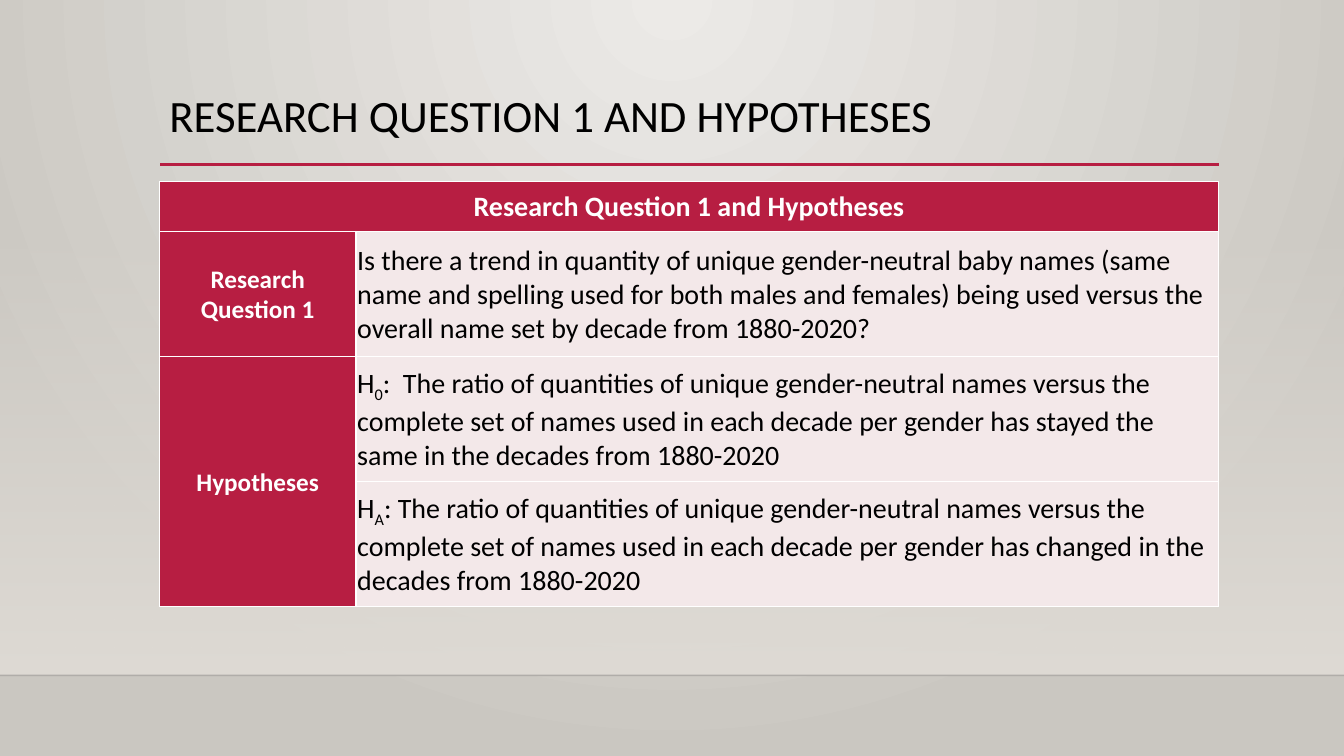
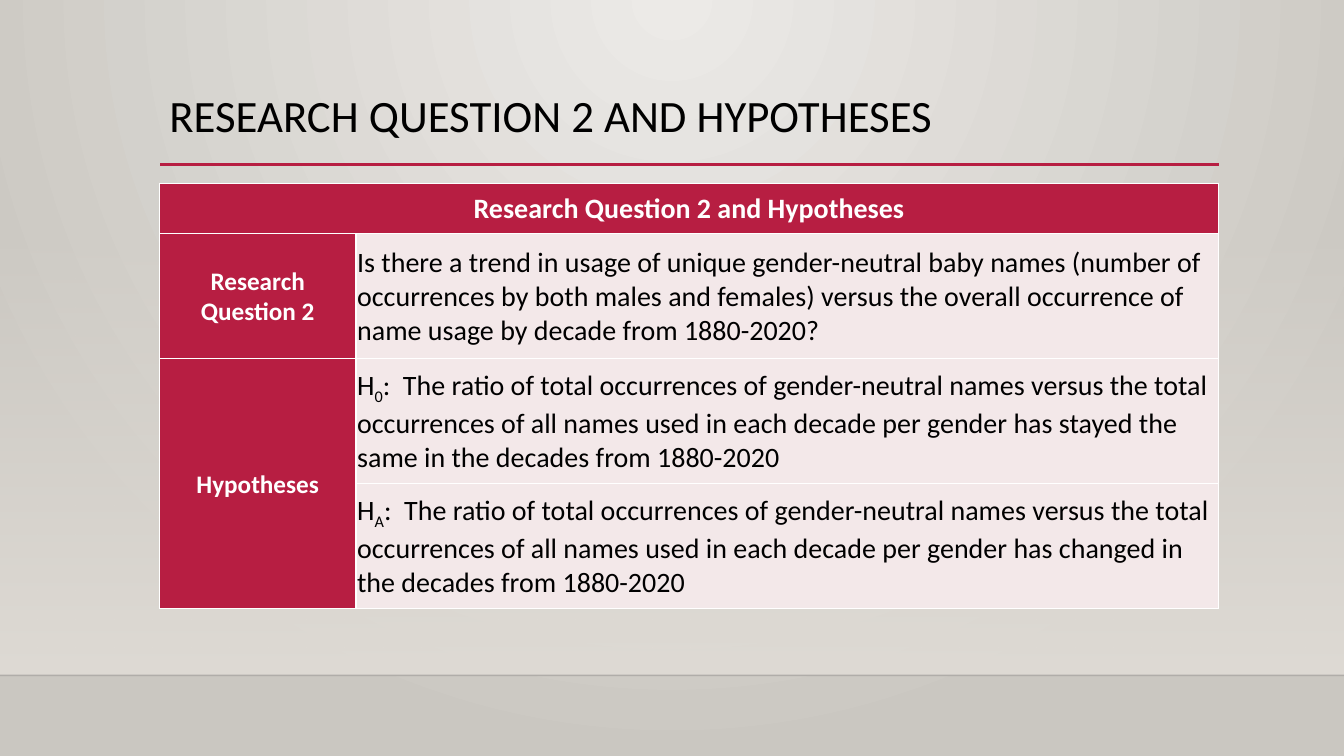
from lxml import etree
from pptx import Presentation
from pptx.dml.color import RGBColor
from pptx.enum.shapes import MSO_CONNECTOR, MSO_SHAPE
from pptx.enum.text import MSO_ANCHOR, PP_ALIGN
from pptx.oxml.ns import qn
from pptx.util import Cm, Pt

STRAIGHT = MSO_CONNECTOR.STRAIGHT
RECTANGLE = MSO_SHAPE.RECTANGLE
MIDDLE = MSO_ANCHOR.MIDDLE
CENTER, LEFT = PP_ALIGN.CENTER, PP_ALIGN.LEFT

FONT = "Calibri"
COLORS = {
    "light": "ECEAE7",
    "dark": "CAC7C1",
    "wall": "DFDBD5",
    "edge": "000001",
    "accent": "B71E42",
    "pale": "F3E8E9",
    "text": "000000",
    "white": "FFFFFF",
}
RGB = {name: RGBColor.from_string(value) for name, value in COLORS.items()}

SLIDES = [
    {
        "number": 1,
        "top": 4.57,
        "question": "Is there a trend in quantity of unique gender-neutral baby names (same name and spelling used for both males and females) being used versus the overall name set by decade from 1880-2020?",
        "null": ":  The ratio of quantities of unique gender-neutral names versus the complete set of names used in each decade per gender has stayed the same in the decades from 1880-2020",
        "alternative": ": The ratio of quantities of unique gender-neutral names versus the complete set of names used in each decade per gender has changed in the decades from 1880-2020",
    },
    {
        "number": 2,
        "top": 4.62,
        "question": "Is there a trend in usage of unique gender-neutral baby names (number of occurrences by both males and females) versus the overall occurrence of name usage by decade from 1880-2020?",
        "null": ":  The ratio of total occurrences of gender-neutral names versus the total occurrences of all names used in each decade per gender has stayed the same in the decades from 1880-2020",
        "alternative": ":  The ratio of total occurrences of gender-neutral names versus the total occurrences of all names used in each decade per gender has changed in the decades from 1880-2020",
    },
]


def add_line(s, x1, x2, y, color, width):
    line = s.shapes.add_connector(STRAIGHT, Cm(x1), Cm(y), Cm(x2), Cm(y))
    line.line.color.rgb = RGB[color]
    line.line.width = Pt(width)
    etree.SubElement(line.element.spPr, qn("a:effectLst"))
    return line


def set_opacity(element, percent):
    color = element.find(".//" + qn("a:srgbClr"))
    etree.SubElement(color, qn("a:alpha"), val=str(percent * 1000))


prs = Presentation()
prs.slide_width, prs.slide_height = Cm(33.87), Cm(19.05)

fill = prs.slide_master.background.fill
fill.gradient()
for stop, name in zip(fill.gradient_stops, ("light", "dark")):
    stop.color.rgb = RGB[name]
grad = prs.slide_master.element.find(".//" + qn("a:gradFill"))
grad.remove(grad.find(qn("a:lin")))
circle = etree.SubElement(grad, qn("a:path"), path="circle")
etree.SubElement(circle, qn("a:fillToRect"), l="43000", t="0", r="43000", b="100000")

for content in SLIDES:
    s = prs.slides.add_slide(prs.slide_layouts[6])
    heading = f"Research Question {content['number']} and Hypotheses"

    wall = s.shapes.add_shape(RECTANGLE, 0, Cm(5.61), prs.slide_width, Cm(11.41))
    wall.shadow.inherit = False
    wall.line.fill.background()
    wall.fill.gradient()
    wall.fill.gradient_angle = 270
    for stop in wall.fill.gradient_stops:
        stop.color.rgb = RGB["wall"]
    set_opacity(wall.element.spPr.find(qn("a:gradFill")), 0)

    edge = add_line(s, 0, 33.87, 17.02, "edge", 1)
    set_opacity(edge.element.spPr.find(qn("a:ln")), 20)
    add_line(s, 4.04, 30.73, 4.14, "accent", 2.5)

    title = s.shapes.add_textbox(Cm(4.02), Cm(2.24), Cm(26.69), Cm(2.95))
    title.text_frame.word_wrap = True
    p = title.text_frame.paragraphs[0]
    p.text = heading.upper()
    p.line_spacing = 0.9
    p.font.name, p.font.size = FONT, Pt(32)
    p.font.color.rgb = RGB["text"]

    table = s.shapes.add_table(4, 2, Cm(4.02), Cm(content["top"]), Cm(26.69), Cm(10.72)).table
    table.first_row = table.horz_banding = False
    for column, width in zip(table.columns, (4.95, 21.74)):
        column.width = Cm(width)
    for row, height in zip(table.rows, (1.27, 3.15, 3.15, 3.15)):
        row.height = Cm(height)
    table.cell(0, 0).merge(table.cell(0, 1))
    table.cell(2, 0).merge(table.cell(3, 0))

    texts = {
        (0, 0): [heading],
        (1, 0): [f"Research Question {content['number']}"],
        (1, 1): [content["question"]],
        (2, 0): ["Hypotheses"],
        (2, 1): ["H", "0", content["null"]],
        (3, 1): ["H", "A", content["alternative"]],
    }
    for row in range(4):
        for col in range(2):
            cell = table.cell(row, col)
            is_header = row == 0 or col == 0
            cell.vertical_anchor = MIDDLE
            cell.margin_left = cell.margin_right = cell.margin_top = Cm(0.03)
            cell.margin_bottom = 0
            tcPr = cell._tc.get_or_add_tcPr()
            for side in ("a:lnL", "a:lnR", "a:lnT", "a:lnB"):
                border = etree.SubElement(tcPr, qn(side), w=str(Pt(1)))
                solid = etree.SubElement(border, qn("a:solidFill"))
                etree.SubElement(solid, qn("a:srgbClr"), val=COLORS["white"])
            cell.fill.solid()
            cell.fill.fore_color.rgb = RGB["accent" if is_header else "pale"]
            if cell.is_spanned:
                continue

            p = cell.text_frame.paragraphs[0]
            p.alignment = CENTER if is_header else LEFT
            p.font.name = FONT
            p.font.size = Pt(18 if col == 0 and row > 0 else 20)
            p.font.bold = is_header
            p.font.color.rgb = RGB["white" if is_header else "text"]
            for i, text in enumerate(texts[row, col]):
                r = p.add_run()
                r.text = text
                if i == 1:
                    r.font._element.set("baseline", "-25000")

prs.save("out.pptx")
